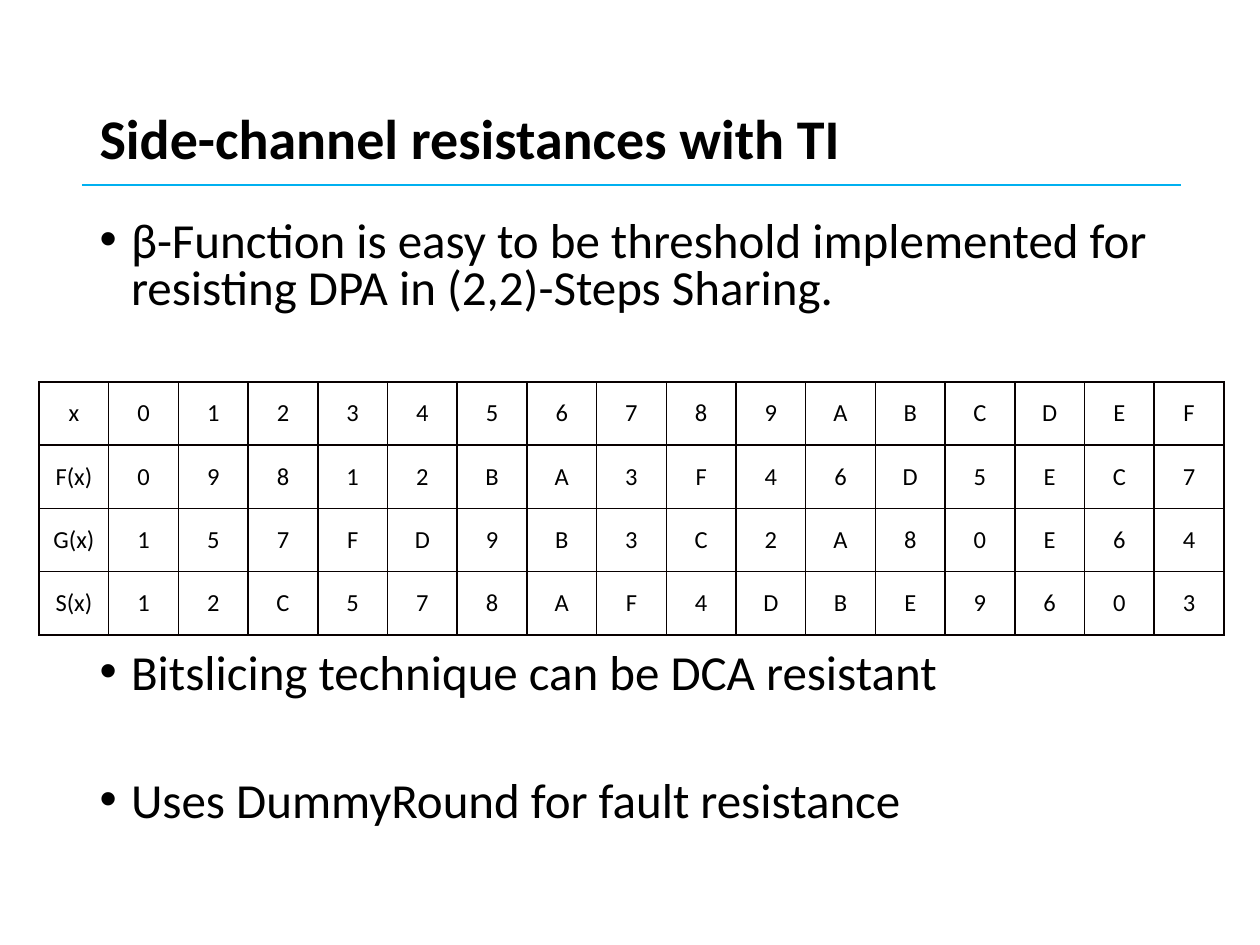
from dataclasses import dataclass

import pptx
import pptx.dml.color
import pptx.enum.shapes
import pptx.enum.text
import pptx.oxml
import pptx.oxml.ns
import pptx.util
from lxml import etree


@dataclass(frozen=True)
class Theme:
    """Colours, font and type sizes of the slide."""
    font: str = "Calibri"
    ink: str = "000000"
    accent: str = "00B0F0"
    border: str = "080000"
    title_size: int = 32
    body_size: int = 28
    cell_size: int = 14


class SlideBuilder:
    """Places styled elements on one slide, with lengths as shares of its size."""

    def __init__(self, presentation, theme):
        self.theme = theme
        self.width = presentation.slide_width
        self.height = presentation.slide_height
        self.slide = presentation.slides.add_slide(presentation.slide_layouts[1])

    def box(self, left, top, width, height):
        return (round(left * self.width), round(top * self.height),
                round(width * self.width), round(height * self.height))

    def place(self, shape, *shares):
        shape.left, shape.top, shape.width, shape.height = self.box(*shares)

    def add_run(self, paragraph, text, size, bold=False):
        run = paragraph.add_run()
        run.text = text
        run.font.name = self.theme.font
        run.font.size = pptx.util.Pt(size)
        run.font.bold = bold
        run.font.color.rgb = pptx.dml.color.RGBColor.from_string(self.theme.ink)

    def title(self, text, *shares):
        shape = self.slide.shapes.title
        self.place(shape, *shares)
        frame = shape.text_frame
        frame.auto_size = pptx.enum.text.MSO_AUTO_SIZE.NONE
        frame.vertical_anchor = pptx.enum.text.MSO_ANCHOR.MIDDLE
        paragraph = frame.paragraphs[0]
        paragraph.alignment = pptx.enum.text.PP_ALIGN.LEFT
        paragraph.line_spacing = 0.9
        self.add_run(paragraph, text, self.theme.title_size, bold=True)

    def bullets(self, items, *shares):
        shape = self.slide.placeholders[1]
        self.place(shape, *shares)
        frame = shape.text_frame
        frame.auto_size = pptx.enum.text.MSO_AUTO_SIZE.NONE
        for index, (text, space_before) in enumerate(items):
            paragraph = frame.add_paragraph() if index else frame.paragraphs[0]
            properties = paragraph._p.get_or_add_pPr()
            indent = pptx.util.Inches(0.25)
            properties.set("marL", str(indent))
            properties.set("indent", str(-indent))
            for tag, key, value in (("a:buFont", "typeface", "Arial"), ("a:buChar", "char", "•")):
                etree.SubElement(properties, pptx.oxml.ns.qn(tag)).set(key, value)
            paragraph.line_spacing = 0.8
            paragraph.space_before = pptx.util.Pt(space_before)
            self.add_run(paragraph, text, self.theme.body_size)

    def rule(self, left, top, width):
        x, y, length, _ = self.box(left, top, width, 0)
        connector = self.slide.shapes.add_connector(
            pptx.enum.shapes.MSO_CONNECTOR.STRAIGHT, x, y, x + length, y)
        connector.line.color.rgb = pptx.dml.color.RGBColor.from_string(self.theme.accent)
        connector.line.width = pptx.util.Pt(1.5)
        properties = connector._element.spPr
        etree.SubElement(properties, pptx.oxml.ns.qn("a:effectLst"))

    def table(self, rows, *shares):
        frame = self.slide.shapes.add_table(len(rows), len(rows[0]), *self.box(*shares))
        table = frame.table
        table.first_row = table.horz_banding = False
        for row_index, row in enumerate(rows):
            for column_index, text in enumerate(row):
                self.fill_cell(table.cell(row_index, column_index), text)

    def fill_cell(self, cell, text):
        cell.margin_left = cell.margin_right = pptx.util.Inches(0.07)
        cell.margin_top = cell.margin_bottom = 0
        cell.vertical_anchor = pptx.enum.text.MSO_ANCHOR.MIDDLE
        properties = cell._tc.get_or_add_tcPr()
        for side in ("lnL", "lnR", "lnT", "lnB"):
            properties.append(pptx.oxml.parse_xml(
                f'<a:{side} {pptx.oxml.ns.nsdecls("a")} w="{pptx.util.Pt(1)}"><a:solidFill>'
                f'<a:srgbClr val="{self.theme.border}"/></a:solidFill></a:{side}>'))
        cell.fill.background()
        paragraph = cell.text_frame.paragraphs[0]
        paragraph.alignment = pptx.enum.text.PP_ALIGN.CENTER
        self.add_run(paragraph, text, self.theme.cell_size)


def main():
    presentation = pptx.Presentation()
    presentation.slide_width = pptx.util.Inches(10)
    presentation.slide_height = pptx.util.Inches(7.5)
    builder = SlideBuilder(presentation, Theme())

    builder.title("Side-channel resistances with TI", 0.069, 0.053, 0.862, 0.193)
    builder.bullets([
        ("β-Function is easy to be threshold implemented for "
         "resisting DPA in (2,2)-Steps Sharing.", 0),
        ("Bitslicing technique can be DCA resistant", 193),
        ("Uses DummyRound for fault resistance", 46.5),
    ], 0.069, 0.227, 0.862, 0.744)
    builder.rule(0.065, 0.196, 0.872)

    functions = {
        "x": "0123456789ABCDEF",
        "F(x)": "09812BA3F46D5EC7",
        "G(x)": "157FD9B3C2A80E64",
        "S(x)": "12C578AF4DBE9603",
    }
    builder.table([[name, *values] for name, values in functions.items()],
                  0.031, 0.404, 0.941, 0.268)
    presentation.save("out.pptx")


if __name__ == "__main__":
    main()
